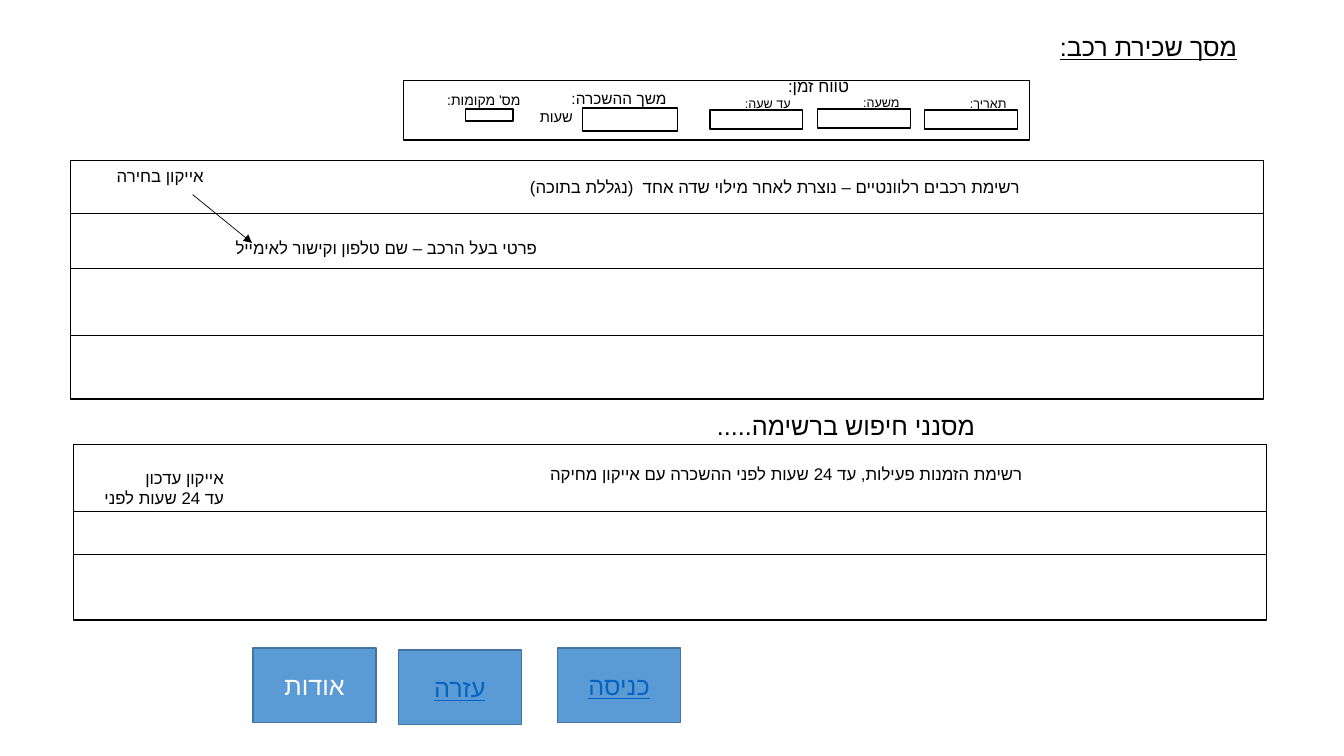
"""Build the car rental screen wireframe slide."""
from lxml.etree import SubElement
from pptx import Presentation
from pptx.dml.color import RGBColor
from pptx.enum.shapes import MSO_CONNECTOR, MSO_SHAPE
from pptx.enum.text import MSO_ANCHOR, MSO_AUTO_SIZE, PP_ALIGN
from pptx.oxml.ns import qn
from pptx.util import Inches, Pt

theme = {
    "font": "Calibri", "hebrew": "Arial", "ink": "000000", "white": "FFFFFF", "link": "0563C1",
    "button": "5B9BD5", "edge": "43739E", "head": 18, "body": 12,
    "duration": 11, "hours": 10.5, "seats": 10, "field": 9, "outline": 1, "rule": 0.5,
}

prs = Presentation()
prs.slide_width, prs.slide_height = Inches(13.33), Inches(7.5)
col, row = prs.slide_width / 133.3, prs.slide_height / 75
s = prs.slides.add_slide(prs.slide_layouts[5])


def add_box(x, y, w, h, line="ink", fill=None):
    sp = s.shapes.add_shape(MSO_SHAPE.RECTANGLE, int(x * col), int(y * row), int(w * col), int(h * row))
    sp.shadow.inherit = False
    sp.line.color.rgb = RGBColor.from_string(theme[line])
    sp.line.width = Pt(theme["outline"])
    if fill:
        sp.fill.solid()
        sp.fill.fore_color.rgb = RGBColor.from_string(theme[fill])
    else:
        sp.fill.background()
    return sp


def write(tf, lines, size, color="ink", underline=None, align=PP_ALIGN.RIGHT, anchor=MSO_ANCHOR.TOP):
    tf.word_wrap = True
    tf.vertical_anchor = anchor
    for i, line in enumerate(lines):
        p = tf.add_paragraph() if i else tf.paragraphs[0]
        p.alignment = align
        p._p.get_or_add_pPr().set("rtl", "1")
        r = p.add_run()
        r.text = line
        r.font.size = Pt(theme[size])
        r.font.name = theme["font"]
        r.font.underline = underline
        r.font.color.rgb = RGBColor.from_string(theme[color])
        r._r.get_or_add_rPr().set("lang", "he-IL")
        SubElement(r._r.get_or_add_rPr(), qn("a:cs"), typeface=theme["hebrew"])


title = s.shapes.title
title.left, title.top, title.width, title.height = int(71 * col), int(2.6 * row), int(52.7 * col), int(4 * row)
write(title.text_frame, ["מסך שכירת רכב:"], "head", underline=True)
title.text_frame.auto_size = MSO_AUTO_SIZE.SHAPE_TO_FIT_TEXT

list_w = 118.3
rules = [(19.1, 19.3, 25, 24.1, True)]
for x, y, h, row_ends in [(7.3, 44.1, 17.4, (50.7, 55, 61.5)), (7, 15.9, 23.7, (21.2, 26.6, 33.3))]:
    add_box(x, y, list_w, h)
    rules += [(x, end, x + list_w, end, False) for end in row_ends]

add_box(40, 8, 62.1, 5.9)
for x, y, w, h in [
    (91.7, 10.9, 9.2, 1.9), (81.1, 10.8, 9.2, 1.9), (70.4, 10.9, 9.2, 1.9),
    (57.8, 10.7, 9.4, 2.3), (46.2, 10.8, 4.7, 1.2),
]:
    add_box(x, y, w, h)

for x, y, w, h, size, lines in [
    (70.5, 7, 14.7, 3, "body", ["טווח זמן:"]),
    (94.9, 9, 5.9, 2.5, "field", ["תאריך:"]),
    (84.3, 8.9, 5.9, 2.5, "field", ["משעה:"]),
    (71.7, 9, 7.7, 2.5, "field", ["עד שעה:"]),
    (54, 8.3, 13.1, 2.9, "duration", ["משך ההשכרה:"]),
    (47.4, 10.2, 10.4, 2.9, "hours", ["שעות"]),
    (41.2, 8.6, 11.4, 2.7, "seats", ["מס' מקומות:"]),
    (6, 16, 15.2, 3, "body", ["אייקון בחירה"]),
    (50.9, 17, 51.3, 7.1, "body", ["רשימת רכבים רלוונטיים – נוצרת לאחר מילוי שדה אחד  (נגללת בתוכה)"]),
    (22.2, 23.1, 32.1, 3, "body", ["פרטי בעל הרכב – שם טלפון וקישור לאימייל"]),
    (46.4, 40.2, 51.3, 4, "head", ["מסנני חיפוש ברשימה....."]),
    (51.1, 45.5, 51.3, 5, "body", ["רשימת הזמנות פעילות, עד 24 שעות לפני ההשכרה עם אייקון מחיקה"]),
    (8, 45.9, 15.2, 5, "body", ["אייקון עדכון", "עד 24 שעות לפני"]),
]:
    tb = s.shapes.add_textbox(int(x * col), int(y * row), int(w * col), int(h * row))
    write(tb.text_frame, lines, size)
    tb.text_frame.auto_size = MSO_AUTO_SIZE.SHAPE_TO_FIT_TEXT

for x1, y1, x2, y2, arrow in rules:
    ln = s.shapes.add_connector(
        MSO_CONNECTOR.STRAIGHT, int(x1 * col), int(y1 * row), int(x2 * col), int(y2 * row))
    ln.line.color.rgb = RGBColor.from_string(theme["ink"])
    ln.line.width = Pt(theme["rule"])
    if arrow:
        SubElement(ln.line._get_or_add_ln(), qn("a:tailEnd"), type="triangle")
    SubElement(ln._element.spPr, qn("a:effectLst"))

for x, y, label, color, underline in [
    (39.5, 64.5, "עזרה", "link", True),
    (25.1, 64.3, "אודות", "white", None),
    (55.3, 64.3, "כניסה", "link", True),
]:
    sp = add_box(x, y, 12.2, 7.4, "edge", "button")
    write(sp.text_frame, [label], "head", color, underline, PP_ALIGN.CENTER, MSO_ANCHOR.MIDDLE)

prs.save("out.pptx")
